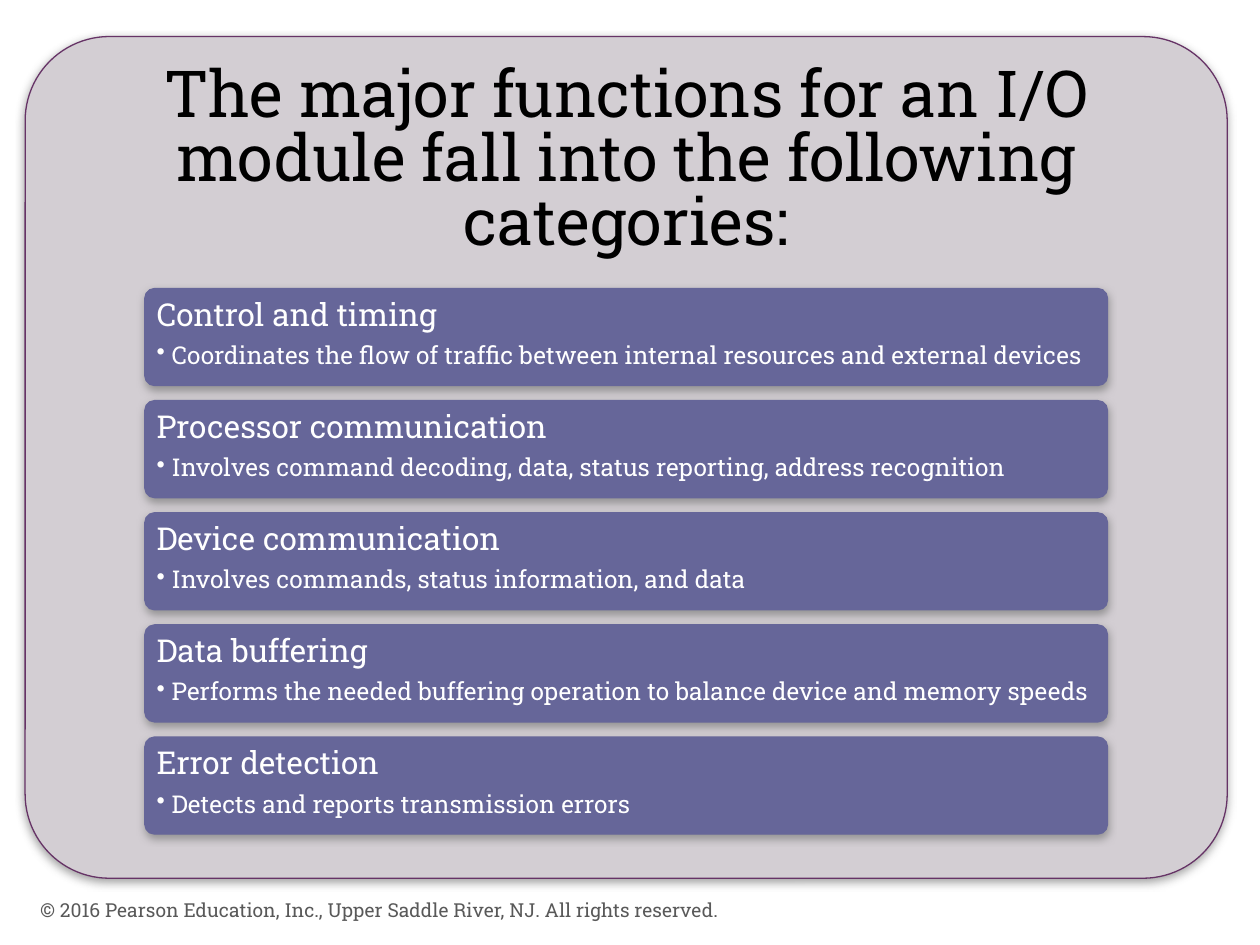
from lxml.etree import SubElement
from pptx import Presentation
from pptx.dml.color import RGBColor
from pptx.enum.shapes import MSO_SHAPE as SHAPE
from pptx.enum.text import MSO_ANCHOR as ANCHOR, MSO_AUTO_SIZE as FIT, PP_ALIGN as ALIGN
from pptx.oxml import parse_xml
from pptx.oxml.ns import nsdecls, qn
from pptx.util import Inches, Pt

FONT = "Roboto Slab"
PANEL = RGBColor(0xD3, 0xCE, 0xD3)
PURPLE = RGBColor(0x66, 0x33, 0x66)
CARD = RGBColor(0x66, 0x66, 0x99)
WHITE = RGBColor(0xFF, 0xFF, 0xFF)
BLACK = RGBColor(0, 0, 0)
GREY = RGBColor(0x59, 0x59, 0x59)

SHADOW = (
    f'<a:effectLst {nsdecls("a")}>'
    '<a:outerShdw blurRad="63500" dist="25400" dir="5400000" rotWithShape="0">'
    '<a:srgbClr val="808080"><a:alpha val="75000"/></a:srgbClr>'
    '</a:outerShdw></a:effectLst>'
)

FUNCTIONS = [
    ("Control and timing",
     "Coordinates the flow of traffic between internal resources and external devices"),
    ("Processor communication",
     "Involves command decoding, data, status reporting, address recognition"),
    ("Device communication", "Involves commands, status information, and data"),
    ("Data buffering",
     "Performs the needed buffering operation to balance device and memory speeds"),
    ("Error detection", "Detects and reports transmission errors"),
]


def add_panel(s, left, top, width, height, fill, line):
    sp = s.shapes.add_shape(SHAPE.ROUNDED_RECTANGLE, Inches(left), Inches(top),
                            Inches(width), Inches(height))
    sp.adjustments[0] = 0.1
    sp.fill.solid()
    sp.fill.fore_color.rgb = fill
    sp.line.color.rgb = line
    sp.line.width = Pt(0.75)
    sp._element.spPr.append(parse_xml(SHADOW))
    return sp


def write(p, text, size, color, **formats):
    r = p.add_run()
    r.text = text
    r.font.name = FONT
    r.font.size = Pt(size)
    r.font.color.rgb = color
    for name, value in formats.items():
        setattr(p, name, value)


prs = Presentation()
prs.slide_width, prs.slide_height = Inches(10), Inches(7.5)
s = prs.slides.add_slide(prs.slide_layouts[5])

add_panel(s, 0.2, 0.29, 9.54, 6.68, PANEL, PURPLE)

title = s.shapes.title
s.shapes._spTree.append(title._element)
title.left, title.top = Inches(0.2), Inches(0.29)
title.width, title.height = Inches(9.54), Inches(2)
tf = title.text_frame
title_frame = {
    "auto_size": FIT.NONE, "word_wrap": True, "vertical_anchor": ANCHOR.MIDDLE,
    "margin_left": Inches(0.3), "margin_right": Inches(0.3),
    "margin_top": Inches(0.15), "margin_bottom": Inches(0.15),
}
for name, value in title_frame.items():
    setattr(tf, name, value)
write(tf.paragraphs[0],
      "The major functions for an I/O module fall into the following categories:",
      37, BLACK, alignment=ALIGN.CENTER, line_spacing=0.82, space_before=Pt(0))

card_frame = {
    "word_wrap": True, "vertical_anchor": ANCHOR.TOP,
    "margin_left": Inches(0.07), "margin_right": Inches(0.07),
    "margin_top": Inches(0.06), "margin_bottom": Inches(0.06),
}
for i, (heading, detail) in enumerate(FUNCTIONS):
    card = add_panel(s, 1.15, 2.29 + 0.89 * i, 7.64, 0.77, CARD, CARD)
    tf = card.text_frame
    for name, value in card_frame.items():
        setattr(tf, name, value)
    write(tf.paragraphs[0], heading, 18, WHITE, alignment=ALIGN.LEFT,
          line_spacing=0.9, space_after=Pt(6))
    p = tf.add_paragraph()
    pPr = p._p.get_or_add_pPr()
    pPr.set("marL", str(Inches(0.12)))
    pPr.set("indent", str(Inches(-0.12)))
    SubElement(pPr, qn("a:buChar"), char="•")
    write(p, detail, 14, WHITE, alignment=ALIGN.LEFT, level=1, line_spacing=0.9)

footer = s.shapes.add_textbox(Inches(0.22), Inches(7.02), Inches(6.7), Inches(0.4))
tf = footer.text_frame
tf.word_wrap = True
tf.vertical_anchor = ANCHOR.MIDDLE
write(tf.paragraphs[0],
      "© 2016 Pearson Education, Inc., Upper Saddle River, NJ. All rights reserved.",
      11, GREY)

prs.save("out.pptx")
